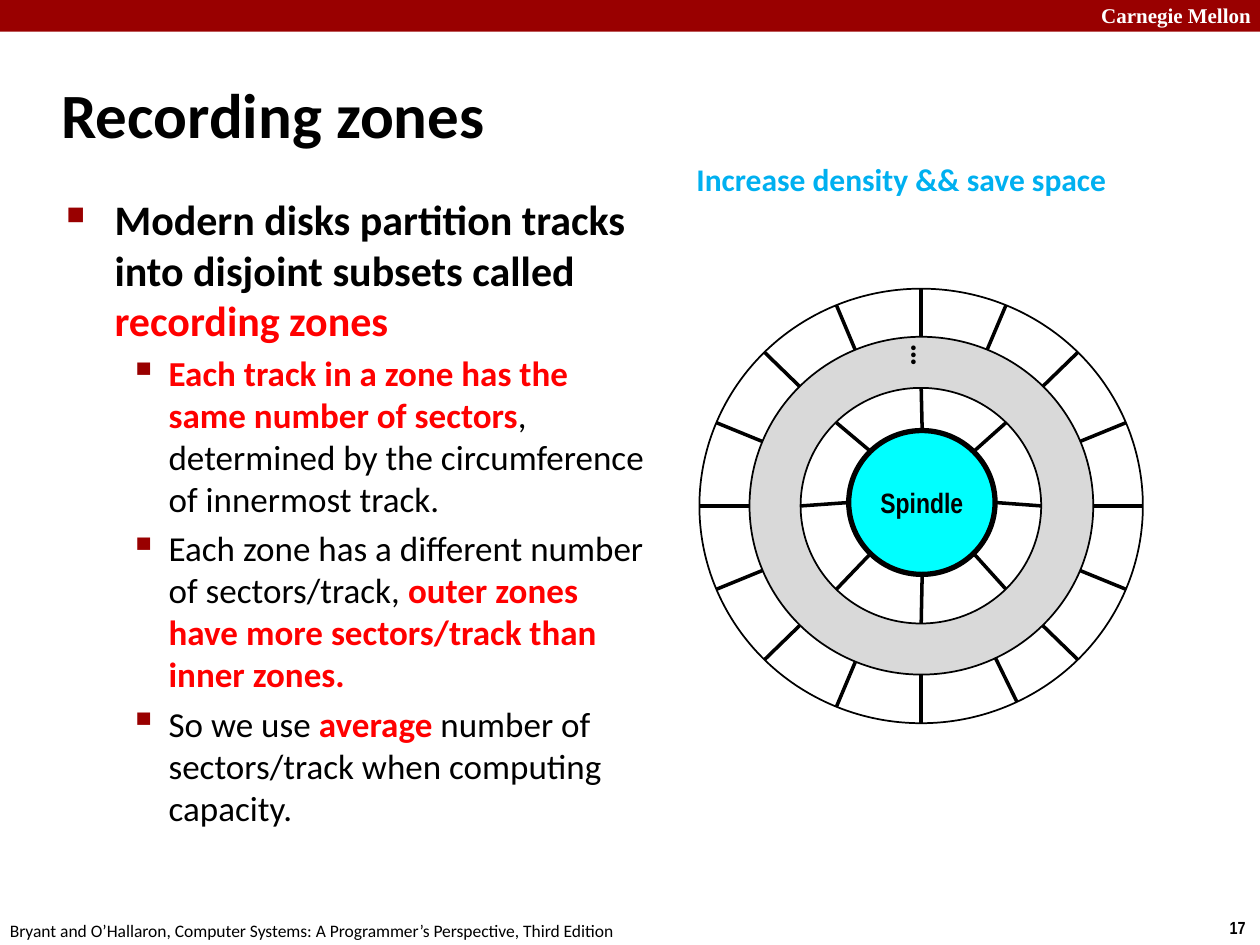
from dataclasses import dataclass
from math import cos, radians, sin
from lxml import etree
from pptx import Presentation, util as u
from pptx.dml.color import RGBColor
from pptx.enum import shapes, text
from pptx.oxml.ns import qn


@dataclass(frozen=True)
class Theme:
    """Colours, typefaces and type sizes of the slide."""
    black: str = "000000"
    white: str = "FFFFFF"
    crimson: str = "990000"
    red: str = "FF0000"
    blue: str = "00B0F0"
    cyan: str = "00FFFF"
    grey: str = "D9D9D9"
    sans: str = "Calibri"
    narrow: str = "Arial Narrow"
    serif: str = "Times New Roman"
    title: int = 36
    lead: int = 24
    detail: int = 20
    caption: int = 18
    spindle: int = 16
    brand: int = 12
    footer: int = 10


THEME = Theme()
PAGE_SIZE = (25.4, 19.05)
BANNER = (0, 0, 25.4, 0.64)

# text, (left, top, width, height), typeface, size, colour, bold
LABELS = [
    ("Carnegie Mellon", (21.95, -0.08, 3.63, 0.76), THEME.serif, THEME.brand, THEME.white, True),
    ("17", (24.54, 18.36, 0.86, 0.69), THEME.narrow, THEME.footer, THEME.black, True),
    ("Bryant and O’Hallaron, Computer Systems: A Programmer’s Perspective, Third Edition",
     (-0.05, 18.42, 12.9, 0.69), THEME.sans, THEME.footer, THEME.black, False),
    ("Increase density && save space", (13.79, 3.1, 8.97, 1.02),
     THEME.sans, THEME.caption, THEME.blue, True),
]
TITLE = ("Recording zones", (0.99, 1.22, 21.08, 2.11),
         THEME.sans, THEME.title, THEME.black, True)
ELLIPSIS = ("…", (17.7, 6.93, 1.27, 0.71), THEME.sans, THEME.caption, THEME.black, True)

BODY_FRAME = (1.09, 3.78, 12.27, 14.07)
PLAIN, STRONG, KEY = (THEME.black, False), (THEME.black, True), (THEME.red, True)
BODY = [
    (0, [("Modern disks partition tracks into disjoint subsets called ", STRONG),
         ("recording zones", KEY)]),
    (1, [("Each track in a zone has the same number of sectors", KEY),
         (", determined by the circumference of innermost track.", PLAIN)]),
    (1, [("Each zone has a different number of sectors/track, ", PLAIN),
         ("outer zones have more sectors/track than inner zones.", KEY)]),
    (1, [("So we use ", PLAIN), ("average", KEY),
         (" number of sectors/track when computing capacity.", PLAIN)]),
]
# size, left margin, hanging indent, space before, bullet, bullet percent
LEVELS = [(THEME.lead, 0.97, 0.97, 0, "■", 60),
          (THEME.detail, 2.06, 0.79, 4, "▪", 110)]

# centre, (width, height), fill, line width
CENTRE, HUB = (18.57, 10.2), (18.59, 10.13)
RINGS = {
    "gap": (CENTRE, (6.93, 6.81), THEME.grey, 1),
    "inner": (CENTRE, (4.85, 4.75), THEME.white, 1),
    "outer": (CENTRE, (8.94, 8.76), None, 1),
    "spindle": (HUB, (2.95, 2.9), THEME.cyan, 3),
}
# ring at the far end, ring at the near end, angles
SPOKES = [
    ("inner", "spindle", [45 * i for i in range(8)]),
    ("outer", "gap", [64.4 if i == 3 else 22.5 * i for i in range(16)]),
]


def colour(code):
    """Turn a hex code into a colour."""
    return RGBColor.from_string(code)


def cm(values):
    """Turn numbers into centimetre lengths."""
    return [u.Cm(round(value, 2)) for value in values]


def style(font, name=None, size=None, code=None, bold=None):
    """Set the given properties of a font."""
    if name:
        font.name = name
    if size:
        font.size = u.Pt(size)
    if code:
        font.color.rgb = colour(code)
    if bold is not None:
        font.bold = bold


def add_label(page, label, wrap=False):
    """Add a text box with one paragraph."""
    words, place, name, size, code, bold = label
    box = page.shapes.add_textbox(*cm(place))
    box.text_frame.word_wrap = wrap
    paragraph = box.text_frame.paragraphs[0]
    paragraph.text = words
    style(paragraph.font, name, size, code, bold)
    return box


def add_plain_shape(page, kind, place, fill, line_width=0):
    """Add a preset shape without a shadow."""
    shape = page.shapes.add_shape(kind, *cm(place))
    shape.shadow.inherit = False
    if fill:
        shape.fill.solid()
        shape.fill.fore_color.rgb = colour(fill)
    else:
        shape.fill.background()
    if line_width:
        shape.line.color.rgb = colour(THEME.black)
        shape.line.width = u.Pt(line_width)
    else:
        shape.line.fill.background()
    return shape


def add_body(page):
    """Add the bulleted text."""
    frame = page.shapes.add_textbox(*cm(BODY_FRAME)).text_frame
    frame.word_wrap = True
    for index, (level, spans) in enumerate(BODY):
        para = frame.add_paragraph() if index else frame.paragraphs[0]
        size, margin, hang, space, mark, percent = LEVELS[level]
        para.level = level
        para.space_before = u.Pt(space)
        props = para._p.get_or_add_pPr()
        props.set("marL", str(u.Cm(margin)))
        props.set("indent", str(-u.Cm(hang)))
        tint = etree.SubElement(props, qn("a:buClr"))
        etree.SubElement(tint, qn("a:srgbClr"), val=THEME.crimson)
        etree.SubElement(props, qn("a:buSzPct"), val=str(percent * 1000))
        etree.SubElement(props, qn("a:buChar"), char=mark)
        style(para.font, THEME.sans, size)
        for words, (code, bold) in spans:
            span = para.add_run()
            span.text = words
            style(span.font, code=code, bold=bold)


def rim_point(ring, angle):
    """Find the point of a ring's rim at an angle in degrees."""
    (x, y), (width, height), _, _ = RINGS[ring]
    turn = radians(angle)
    return x + width / 2 * cos(turn), y + height / 2 * sin(turn)


def add_disk(page):
    """Add the rings, the spindle and the sector borders."""
    for name, ((x, y), (width, height), fill, weight) in RINGS.items():
        place = (x - width / 2, y - height / 2, width, height)
        ring = add_plain_shape(page, shapes.MSO_SHAPE.OVAL, place, fill, weight)
        if name == "spindle":
            frame = ring.text_frame
            frame.word_wrap = False
            frame.vertical_anchor = text.MSO_ANCHOR.MIDDLE
            para = frame.paragraphs[0]
            para.text = "Spindle"
            para.alignment = text.PP_ALIGN.CENTER
            style(para.font, THEME.narrow, THEME.spindle, THEME.black, True)
    for far, near, angles in SPOKES:
        for angle in angles:
            ends = cm(rim_point(far, angle) + rim_point(near, angle))
            spoke = page.shapes.add_connector(shapes.MSO_CONNECTOR.STRAIGHT, *ends)
            spoke.line.color.rgb = colour(THEME.black)
            spoke.line.width = u.Pt(2)
            etree.SubElement(spoke._element.spPr, qn("a:effectLst"))
    dots = add_label(page, ELLIPSIS)
    dots.text_frame._txBody.bodyPr.set("vert", "vert270")


def main():
    """Build the slide and save it."""
    deck = Presentation()
    deck.slide_width, deck.slide_height = cm(PAGE_SIZE)
    page = deck.slides.add_slide(deck.slide_layouts[6])
    add_plain_shape(page, shapes.MSO_SHAPE.RECTANGLE, BANNER, THEME.crimson)
    for label in LABELS:
        add_label(page, label)
    title = add_label(page, TITLE, wrap=True)
    title.text_frame.vertical_anchor = text.MSO_ANCHOR.MIDDLE
    add_body(page)
    add_disk(page)
    deck.save("out.pptx")


if __name__ == "__main__":
    main()
